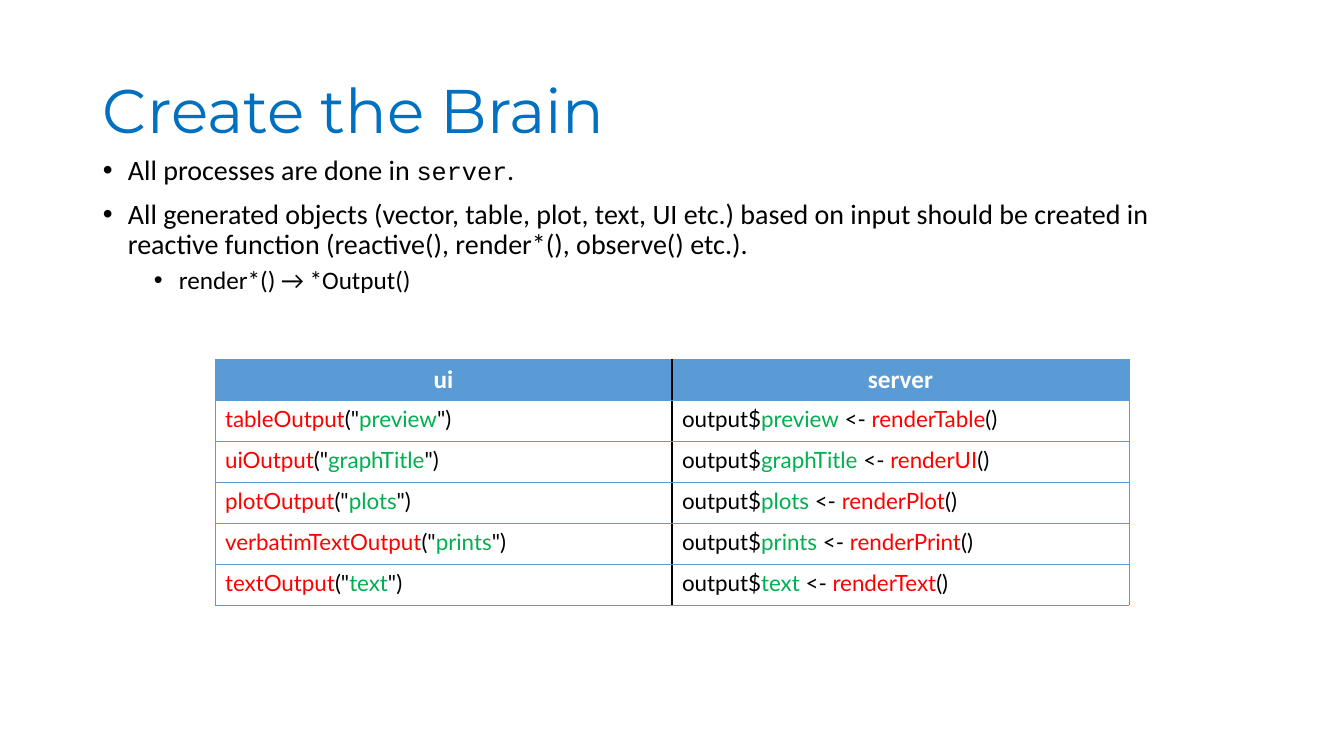
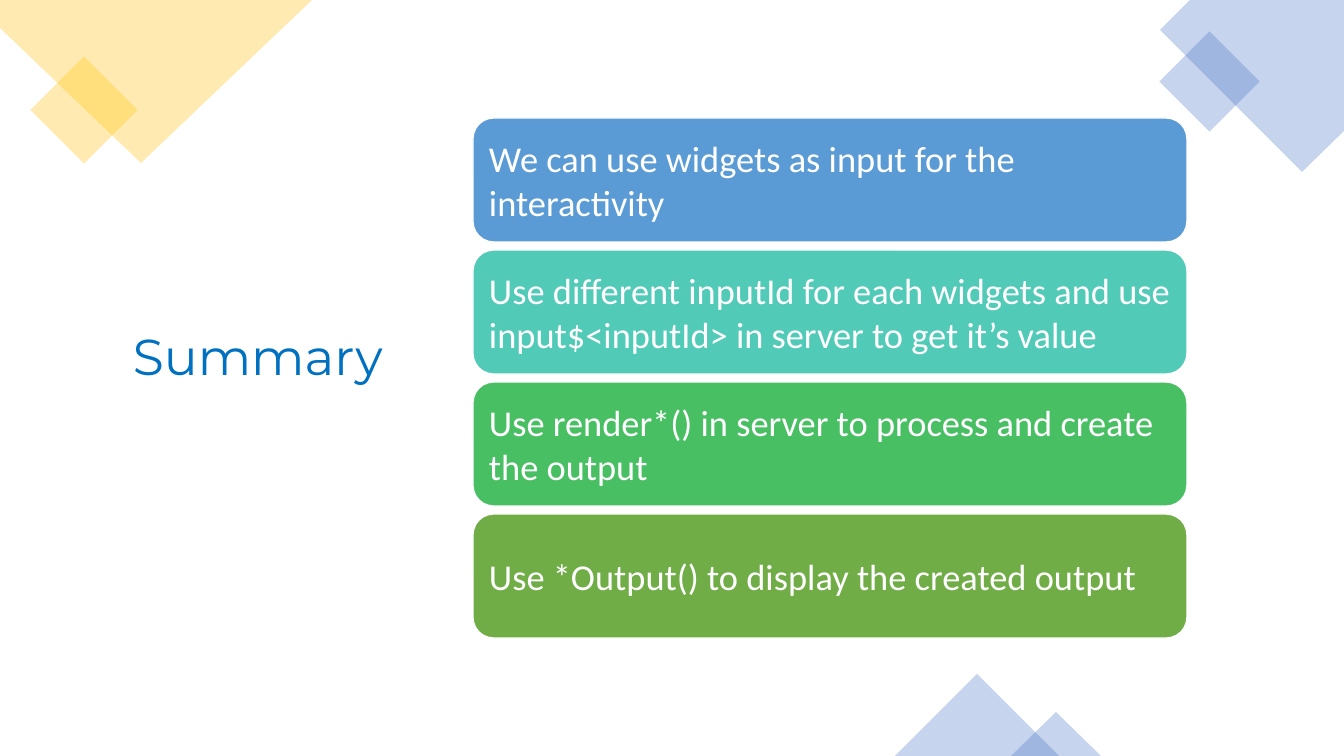
from dataclasses import dataclass

from pptx import Presentation
from pptx.dml.color import RGBColor
from pptx.enum.shapes import MSO_SHAPE
from pptx.enum.text import MSO_ANCHOR, PP_ALIGN
from pptx.oxml.ns import qn
from pptx.util import Pt
from lxml.etree import SubElement

SCALE = 12192000 / 1344


@dataclass(frozen=True)
class Theme:
    title: str = "0070C0"
    text: str = "000000"
    white: str = "FFFFFF"
    function: str = "FF0000"
    name: str = "00B050"
    header: str = "5B9BD5"
    yellow: str = "FFC000"
    blue: str = "4472C4"
    cards: tuple = ("5B9BD5", "52CAB8", "49BF64", "70AD47")
    title_font: str = "Montserrat"
    body_font: str = "Calibri"
    code_font: str = "Courier New"
    table_font: str = "Lato"
    title_size: int = 44
    side_title_size: int = 36
    body_size: int = 20
    small_size: int = 18
    table_size: int = 16
    card_size: int = 26
    decor_opacity: int = 30


THEME = Theme()

BULLETS = [
    (0, [("All processes are done in ", False), ("server", True), (".", False)]),
    (0, [("All generated objects (vector, table, plot, text, UI etc.) based on input "
          "should be created in reactive function (reactive(), render*(), observe() etc.).", False)]),
    (1, [("render*() → *Output()", False)]),
]

PAIRS = [
    ("tableOutput", "preview", "renderTable"),
    ("uiOutput", "graphTitle", "renderUI"),
    ("plotOutput", "plots", "renderPlot"),
    ("verbatimTextOutput", "prints", "renderPrint"),
    ("textOutput", "text", "renderText"),
]

SUMMARY = [
    "We can use widgets as input for the interactivity",
    "Use different inputId for each widgets and use input$<inputId> in server to get it’s value",
    "Use render*() in server to process and create the output",
    "Use *Output() to display the created output",
]


def px(length):
    return round(length * SCALE)


def box_at(*lengths):
    return [px(length) for length in lengths]


def color(code):
    return RGBColor.from_string(code)


def add_span(para, text, font, size, code, bold=False):
    span = para.add_run()
    span.text = text
    span.font.name = font
    span.font.size = Pt(size)
    span.font.bold = bold
    span.font.color.rgb = color(code)


def add_text_box(page, place, anchor):
    frame = page.shapes.add_textbox(*box_at(*place)).text_frame
    frame.word_wrap = True
    frame.vertical_anchor = anchor
    return frame


def add_title(page, text, place, size):
    para = add_text_box(page, place, MSO_ANCHOR.MIDDLE).paragraphs[0]
    para.line_spacing = 0.9
    add_span(para, text, THEME.title_font, size, THEME.title)


def add_bullets(page, place, bullets):
    frame = add_text_box(page, place, MSO_ANCHOR.TOP)
    for index, (level, spans) in enumerate(bullets):
        para = frame.add_paragraph() if index else frame.paragraphs[0]
        para.level = level
        para.line_spacing = 0.9
        para.space_before = Pt(5 if level else 10)
        properties = para._p.get_or_add_pPr()
        properties.set("marL", str(px(76 if level else 25)))
        properties.set("indent", str(-px(25)))
        SubElement(properties, qn("a:buFont"), typeface="Arial")
        SubElement(properties, qn("a:buChar"), char="•")
        for text, is_code in spans:
            font = THEME.code_font if is_code else THEME.body_font
            size = THEME.small_size if is_code or level else THEME.body_size
            add_span(para, text, font, size, THEME.text)


def set_border(cell, side, code, width):
    line = SubElement(cell._tc.get_or_add_tcPr(), qn(f"a:ln{side}"), w=str(Pt(width)))
    SubElement(SubElement(line, qn("a:solidFill")), qn("a:srgbClr"), val=code)


def style_cell(cell, inner_side, fill):
    for side in "LRTB":
        if side == inner_side:
            set_border(cell, side, THEME.text, 1)
        else:
            set_border(cell, side, THEME.header, 0.5)
    if fill:
        cell.fill.solid()
        cell.fill.fore_color.rgb = color(fill)
    else:
        cell.fill.background()


def add_code_table(page, left, top, column_width, row_height, pairs):
    rows = len(pairs) + 1
    place = box_at(left, top, 2 * column_width, rows * row_height)
    table = page.shapes.add_table(rows, 2, *place).table
    table.horz_banding = False
    for row in table.rows:
        row.height = px(row_height)
    for column, heading in enumerate(("ui", "server")):
        inner_side = "L" if column else "R"
        head = table.cell(0, column)
        style_cell(head, inner_side, THEME.header)
        para = head.text_frame.paragraphs[0]
        para.alignment = PP_ALIGN.CENTER
        add_span(para, heading, THEME.body_font, THEME.small_size, THEME.white, True)
        for row, (output, name, render) in enumerate(pairs, 1):
            cell = table.cell(row, column)
            style_cell(cell, inner_side, None)
            ui_spans = [(output, THEME.function), ('("', THEME.text),
                        (name, THEME.name), ('")', THEME.text)]
            server_spans = [("output$", THEME.text), (name, THEME.name), (" <- ", THEME.text),
                            (render, THEME.function), ("()", THEME.text)]
            for text, code in server_spans if column else ui_spans:
                add_span(cell.text_frame.paragraphs[0], text, THEME.table_font,
                         THEME.table_size, code)


def paint(shape, code, opacity=100):
    shape.shadow.inherit = False
    shape.fill.solid()
    shape.fill.fore_color.rgb = color(code)
    shape.line.fill.background()
    if opacity < 100:
        tint = shape._element.spPr.find(qn("a:solidFill")).find(qn("a:srgbClr"))
        SubElement(tint, qn("a:alpha"), val=str(opacity * 1000))


def add_decor(page, kind, place, code, rotation=0):
    shape = page.shapes.add_shape(kind, *box_at(*place))
    shape.rotation = rotation
    paint(shape, code, THEME.decor_opacity)


def add_corner(page, points, code):
    outline = page.shapes.build_freeform(*points[0], scale=SCALE)
    outline.add_line_segments(points[1:], close=True)
    paint(outline.convert_to_shape(), code, THEME.decor_opacity)


def add_card(page, text, place, code):
    card = page.shapes.add_shape(MSO_SHAPE.ROUNDED_RECTANGLE, *box_at(*place))
    paint(card, code)
    card.line.color.rgb = color(THEME.white)
    card.line.width = Pt(1)
    frame = card.text_frame
    frame.word_wrap = True
    frame.vertical_anchor = MSO_ANCHOR.MIDDLE
    frame.margin_left = frame.margin_right = px(10)
    para = frame.paragraphs[0]
    para.alignment = PP_ALIGN.LEFT
    add_span(para, text, THEME.body_font, THEME.card_size, THEME.white)


def build_brain(page):
    add_title(page, "Create the Brain", (93, 41, 1159, 146), THEME.title_size)
    add_bullets(page, (93, 151, 1159, 530), BULLETS)
    add_code_table(page, 215, 359, 457, 41, PAIRS)


def build_summary(page):
    add_title(page, "Summary", (123, 110, 436, 498), THEME.side_title_size)
    add_decor(page, MSO_SHAPE.RECTANGLE, (46, 72, 76, 76), THEME.yellow, 45)
    add_corner(page, [(0, 0), (312, 0), (141, 163), (0, 28)], THEME.yellow)
    add_corner(page, [(1190, 0), (1344, 0), (1344, 131), (1302, 172), (1160, 30)], THEME.blue)
    add_decor(page, MSO_SHAPE.RECTANGLE, (1174, 46, 71, 71), THEME.blue, 45)
    add_decor(page, MSO_SHAPE.ISOSCELES_TRIANGLE, (895, 674, 164, 82), THEME.blue)
    add_decor(page, MSO_SHAPE.ISOSCELES_TRIANGLE, (1011, 712, 90, 44), THEME.blue)
    for index, (text, code) in enumerate(zip(SUMMARY, THEME.cards)):
        add_card(page, text, (473, 118 + index * 132, 714, 124), code)


def main():
    deck = Presentation()
    deck.slide_width, deck.slide_height = box_at(1344, 756)
    for build in (build_brain, build_summary):
        build(deck.slides.add_slide(deck.slide_layouts[6]))
    deck.save("out.pptx")


if __name__ == "__main__":
    main()
